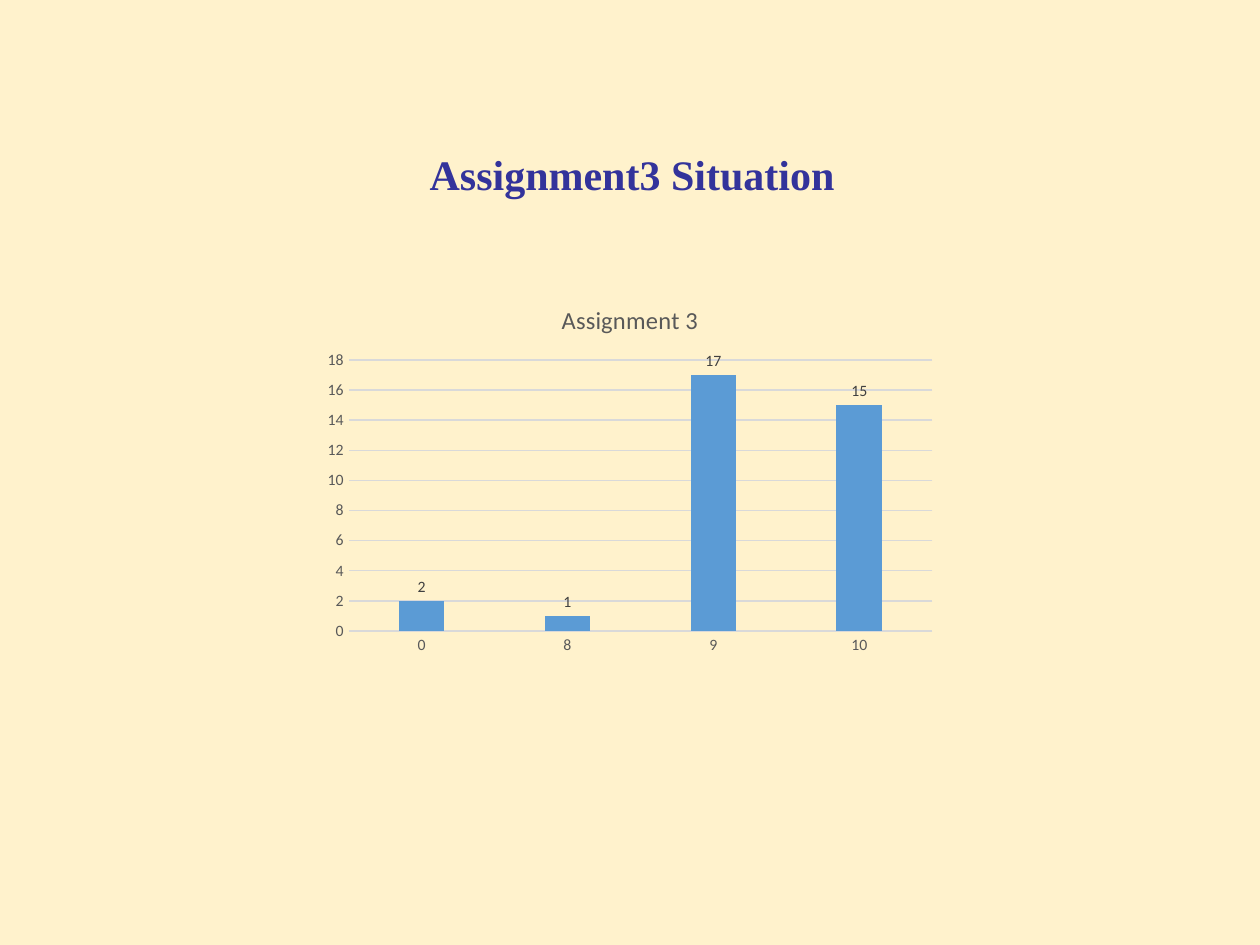
"""Build the Assignment3 Situation slide with its column chart."""
from dataclasses import dataclass

from pptx import Presentation
from pptx.chart.data import CategoryChartData
from pptx.dml.color import RGBColor
from pptx.enum.chart import XL_CHART_TYPE, XL_LABEL_POSITION, XL_TICK_MARK
from pptx.enum.text import MSO_ANCHOR, MSO_AUTO_SIZE, PP_ALIGN
from pptx.util import Emu, Pt


@dataclass(frozen=True)
class Theme:
    back: str = "FFF2CC"
    head: str = "33339B"
    bar: str = "5B9BD5"
    grid: str = "D9D9D9"
    text: str = "595959"
    label: str = "404040"
    serif: str = "Times New Roman"
    sans: str = "Calibri"
    big: int = 24
    mid: int = 14
    small: int = 9
    thin: float = 0.75


def px(count):
    return Emu(round(count * 914400 / 126))


def style(font, face, size, color, bold=False):
    font.name = face
    font.size = Pt(size)
    font.bold = bold
    font.color.rgb = RGBColor.from_string(color)


theme = Theme()
deck = Presentation()
deck.slide_width, deck.slide_height = px(1260), px(945)
slide = deck.slides.add_slide(deck.slide_layouts[5])
slide.background.fill.solid()
slide.background.fill.fore_color.rgb = RGBColor.from_string(theme.back)

title = slide.shapes.title
title.left, title.top, title.width, title.height = px(417), px(142), px(504), px(63)
frame = title.text_frame
frame.text = "Assignment3 Situation"
frame.word_wrap = True
frame.auto_size = MSO_AUTO_SIZE.SHAPE_TO_FIT_TEXT
frame.vertical_anchor = MSO_ANCHOR.TOP
line = frame.paragraphs[0]
line.alignment = PP_ALIGN.LEFT
style(line.runs[0].font, theme.serif, theme.big, theme.head, True)

data = CategoryChartData()
data.categories = ["0", "8", "9", "10"]
data.add_series("Series 1", [2, 1, 17, 15])
chart = slide.shapes.add_chart(
    XL_CHART_TYPE.COLUMN_CLUSTERED, px(315), px(284), px(630), px(378), data
).chart
style(chart.font, theme.sans, theme.small, theme.text)
chart.has_legend = False
chart.has_title = True
head = chart.chart_title.text_frame
head.text = "Assignment 3"
style(head.paragraphs[0].runs[0].font, theme.sans, theme.mid, theme.text)
chart.chart_title.include_in_layout = False

cats, vals = chart.category_axis, chart.value_axis
for axis in (cats, vals):
    axis.major_tick_mark = XL_TICK_MARK.NONE
    axis.minor_tick_mark = XL_TICK_MARK.NONE
    style(axis.tick_labels.font, theme.sans, theme.small, theme.text)
for rule in (cats.format.line, vals.major_gridlines.format.line):
    rule.color.rgb = RGBColor.from_string(theme.grid)
    rule.width = Pt(theme.thin)
vals.format.line.fill.background()
vals.minimum_scale, vals.maximum_scale, vals.major_unit = 0, 18, 2

plot = chart.plots[0]
plot.gap_width = 219
plot.overlap = -27
plot.vary_by_categories = False
bars = plot.series[0]
bars.format.fill.solid()
bars.format.fill.fore_color.rgb = RGBColor.from_string(theme.bar)
labels = bars.data_labels
labels.show_value = True
labels.position = XL_LABEL_POSITION.OUTSIDE_END
style(labels.font, theme.sans, theme.small, theme.label)

deck.save("out.pptx")
